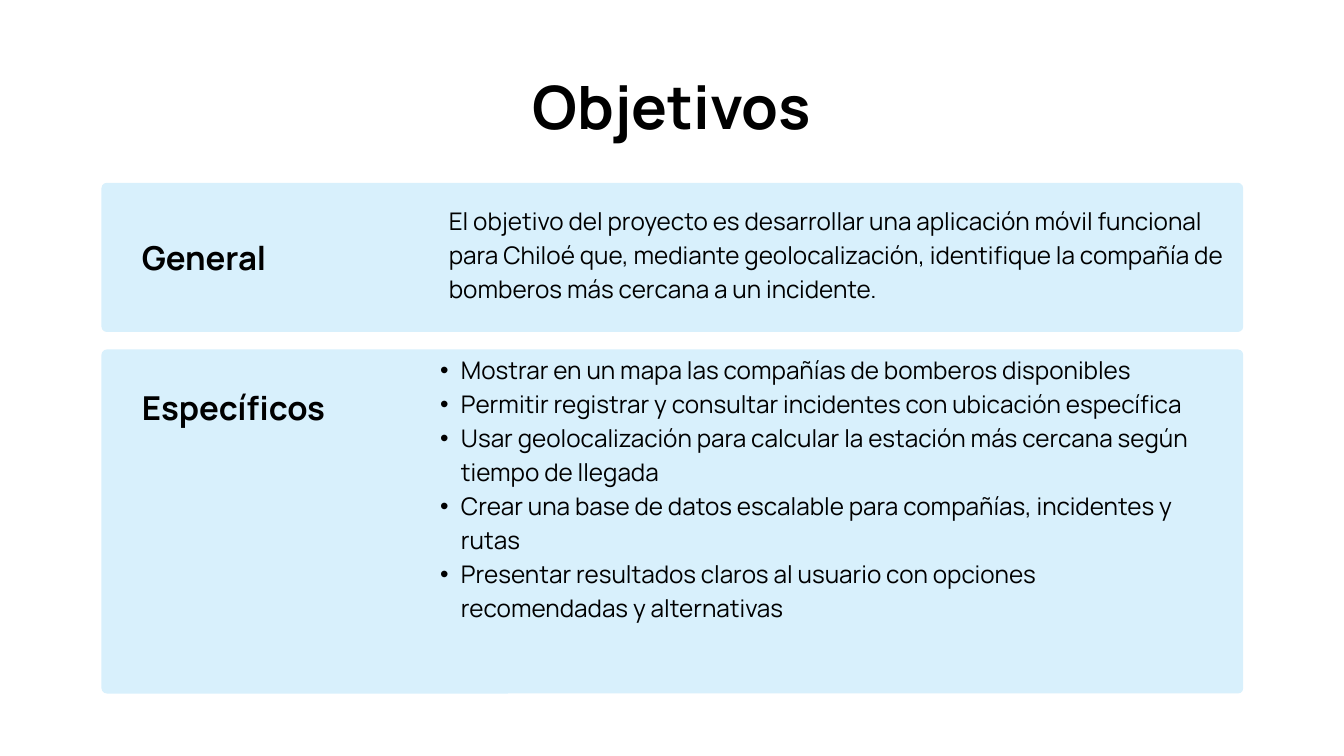
from dataclasses import dataclass

from lxml import etree
from pptx import Presentation
from pptx.dml.color import RGBColor
from pptx.enum.shapes import MSO_SHAPE
from pptx.enum.text import MSO_ANCHOR, PP_ALIGN
from pptx.oxml.ns import qn
from pptx.util import Pt

ROUNDED = MSO_SHAPE.ROUNDED_RECTANGLE
TOP = MSO_ANCHOR.TOP
LEFT, CENTER = PP_ALIGN.LEFT, PP_ALIGN.CENTER

EMU_PER_PX = 9144  # 100 px to the inch
BLANK = 6


@dataclass(frozen=True)
class Theme:
    font: str = "Manrope"
    ink: RGBColor = RGBColor(0x00, 0x00, 0x00)
    panel: RGBColor = RGBColor(0xD8, 0xF0, 0xFC)
    title: float = 64
    heading: float = 35.3
    body: float = 26
    title_line: float = 69.1
    heading_line: float = 62.5
    body_line: float = 36.4


THEME = Theme()

GENERAL = (
    "El objetivo del proyecto es desarrollar una aplicación móvil funcional "
    "para Chiloé que, mediante geolocalización, identifique la compañía de "
    "bomberos más cercana a un incidente."
)
SPECIFIC = [
    "Mostrar en un mapa las compañías de bomberos disponibles",
    "Permitir registrar y consultar incidentes con ubicación específica",
    "Usar geolocalización para calcular la estación más cercana según tiempo de llegada",
    "Crear una base de datos escalable para compañías, incidentes y rutas",
    "Presentar resultados claros al usuario con opciones recomendadas y alternativas",
]


def px(n):
    return n * EMU_PER_PX


def add_panel(s, x, y, w, h, radius=8):
    sp = s.shapes.add_shape(ROUNDED, px(x), px(y), px(w), px(h))
    sp.adjustments[0] = radius / min(w, h)
    sp.shadow.inherit = False
    sp.fill.solid()
    sp.fill.fore_color.rgb = THEME.panel
    sp.line.fill.background()


def add_bullet(p, indent=61, hang=31):
    p.level = 1
    pPr = p._p.get_or_add_pPr()
    pPr.set("marL", str(px(indent)))
    pPr.set("indent", str(-px(hang)))
    etree.SubElement(pPr, qn("a:buFont")).set("typeface", "Arial")
    etree.SubElement(pPr, qn("a:buChar")).set("char", "•")


def add_text(s, lines, x, y, w, h, *, size, spacing, bold=False, align=LEFT, bullets=False):
    tf = s.shapes.add_textbox(px(x), px(y), px(w), px(h)).text_frame
    tf.word_wrap = True
    tf.vertical_anchor = TOP
    tf.margin_left = tf.margin_right = tf.margin_top = tf.margin_bottom = 0
    for i, line in enumerate(lines):
        p = tf.add_paragraph() if i else tf.paragraphs[0]
        if bullets:
            add_bullet(p)
        p.alignment = align
        p.line_spacing = Pt(spacing)
        r = p.add_run()
        r.text = line
        r.font.name = THEME.font
        r.font.size = Pt(size)
        r.font.bold = bold
        r.font.color.rgb = THEME.ink


def add_heading(s, text, y):
    add_text(s, [text], 211, y, 415, 82,
             size=THEME.heading, spacing=THEME.heading_line, bold=True)


def main():
    prs = Presentation()
    prs.slide_width, prs.slide_height = px(2000), px(1125)
    s = prs.slides.add_slide(prs.slide_layouts[BLANK])

    # Panels
    for y, h in ((272, 222), (520, 512)):
        add_panel(s, 151, y, 1699, h)

    # Title
    add_text(s, ["Objetivos"], 167, 114, 1665, 105, size=THEME.title,
             spacing=THEME.title_line, bold=True, align=CENTER)

    # General objective
    add_heading(s, "General", 326)
    add_text(s, [GENERAL], 668, 300, 1164, 150,
             size=THEME.body, spacing=THEME.body_line)

    # Specific objectives
    add_heading(s, "Específicos", 548)
    add_text(s, SPECIFIC, 625, 522, 1172, 500,
             size=THEME.body, spacing=THEME.body_line, bullets=True)

    prs.save("out.pptx")


if __name__ == "__main__":
    main()
